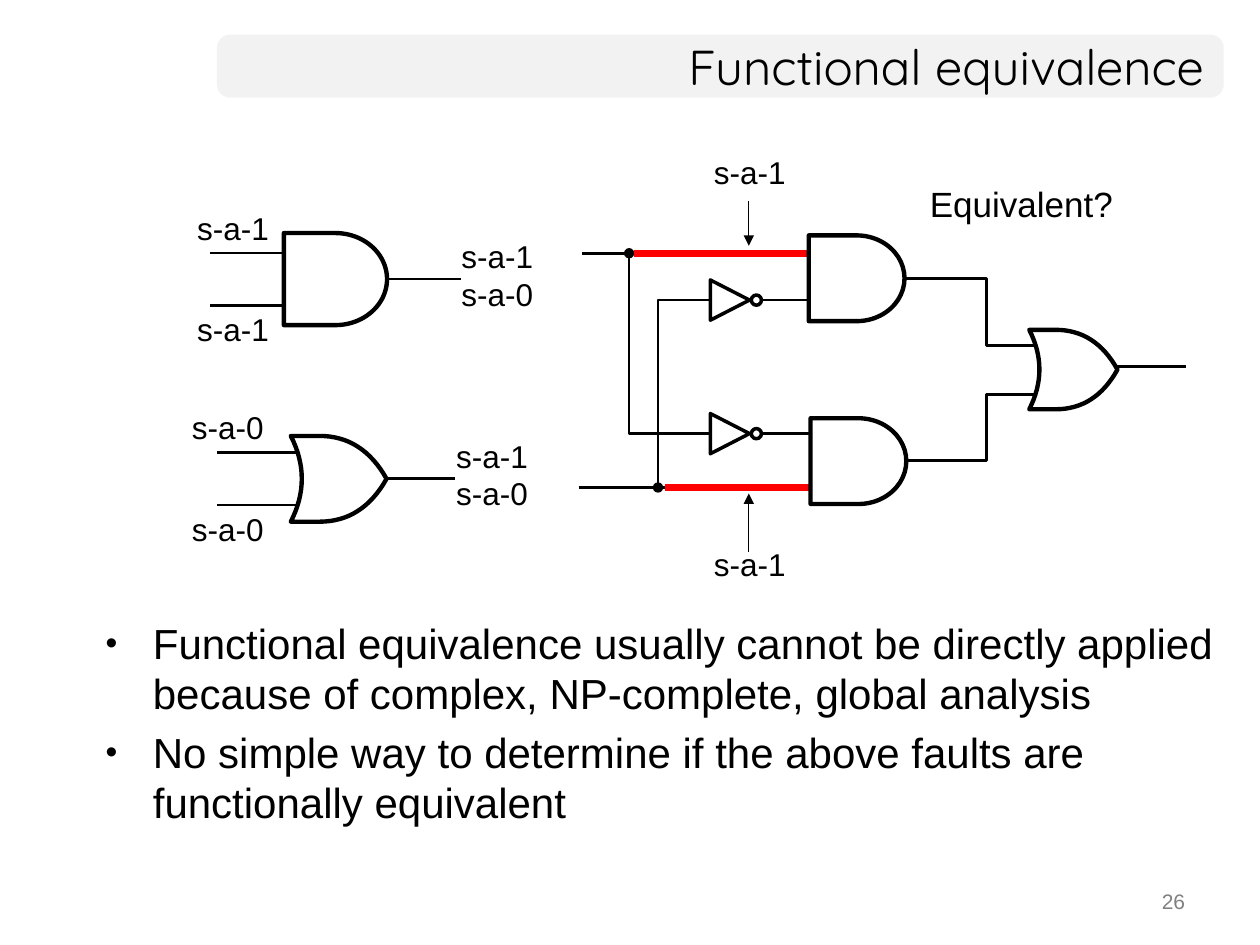
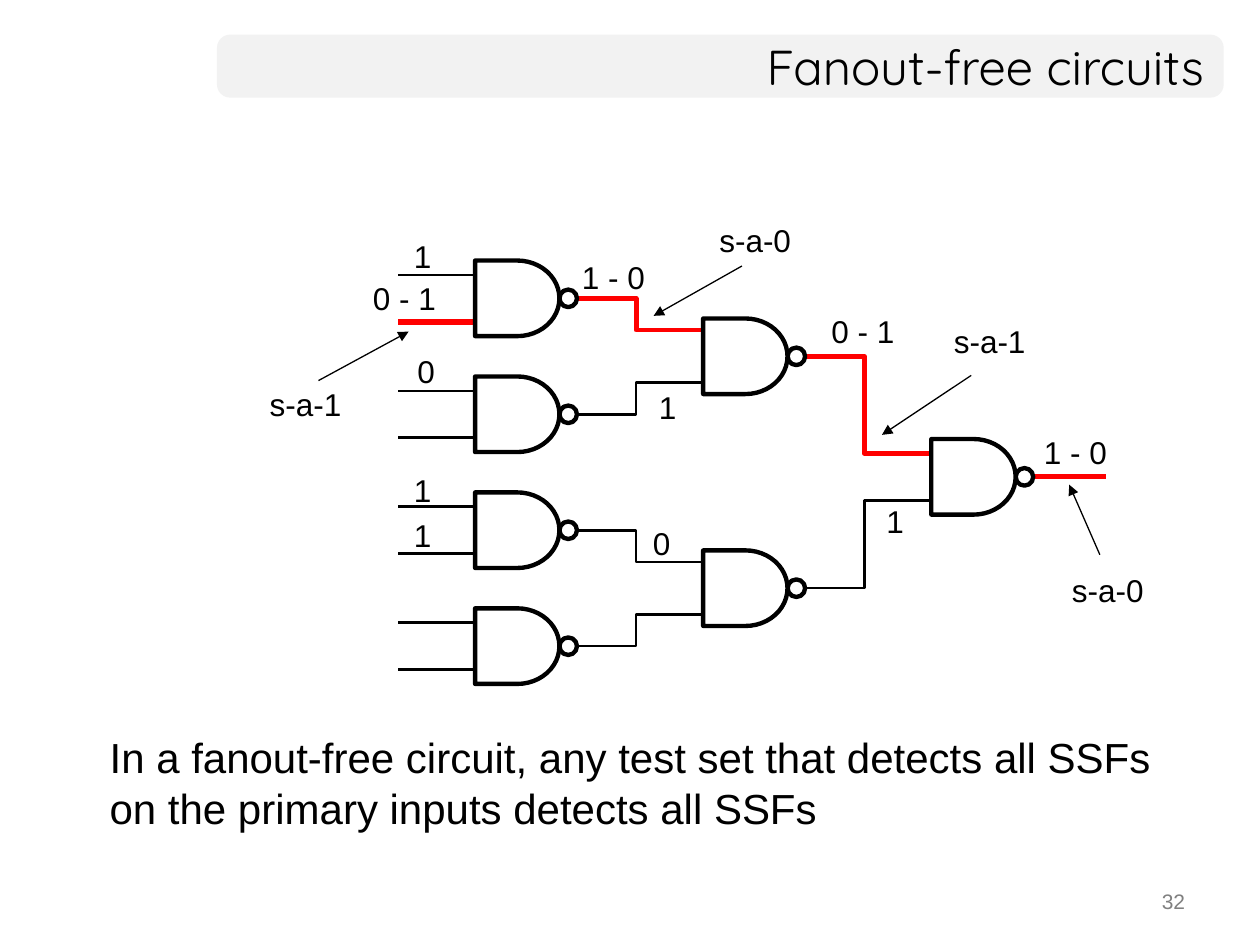
from lxml import etree
from pptx import Presentation
from pptx.dml.color import RGBColor
from pptx.enum.shapes import MSO_CONNECTOR, MSO_SHAPE
from pptx.enum.text import MSO_ANCHOR, MSO_AUTO_SIZE, PP_ALIGN
from pptx.oxml.ns import qn
from pptx.util import Pt

STRAIGHT = MSO_CONNECTOR.STRAIGHT
DELAY = MSO_SHAPE.FLOWCHART_DELAY
DOT = MSO_SHAPE.FLOWCHART_CONNECTOR
TRIANGLE = MSO_SHAPE.ISOSCELES_TRIANGLE
ROUNDED = MSO_SHAPE.ROUNDED_RECTANGLE
LEFT, CENTER, RIGHT = PP_ALIGN.LEFT, PP_ALIGN.CENTER, PP_ALIGN.RIGHT
TOP, MIDDLE = MSO_ANCHOR.TOP, MSO_ANCHOR.MIDDLE
GROW = MSO_AUTO_SIZE.SHAPE_TO_FIT_TEXT

COLORS = {"ink": "000000", "paper": "FFFFFF", "band": "F2F2F2",
          "fault": "FF0000", "page": "808080"}
FONT, TITLE_FONT = "Arial", "Quicksand"
LABEL_H, FAULT_W = 29, 56


def rgb(name):
    return RGBColor.from_string(COLORS[name])


def add_text(s, box, lines, size, color="ink", font=FONT, align=LEFT,
             anchor=TOP, wrap=True, bullet=False):
    sp = s.shapes.add_textbox(*map(Pt, box))
    tf = sp.text_frame
    tf.word_wrap = wrap
    if not wrap:
        tf.auto_size = GROW
    tf.vertical_anchor = anchor
    for i, line in enumerate(lines):
        p = tf.paragraphs[0] if i == 0 else tf.add_paragraph()
        p.alignment = align
        if bullet:
            if i:
                p.space_before = Pt(4.8)
            pPr = p._p.get_or_add_pPr()
            pPr.set("marL", str(Pt(27)))
            pPr.set("indent", str(-Pt(27)))
            etree.SubElement(pPr, qn("a:buSzPct"), val="80000")
            etree.SubElement(pPr, qn("a:buFont"), typeface=FONT)
            etree.SubElement(pPr, qn("a:buChar"), char="•")
        r = p.add_run()
        r.text = line
        r.font.name = font
        r.font.size = Pt(size)
        r.font.color.rgb = rgb(color)


def add_fault_label(s, x, y, *lines):
    h = LABEL_H + 22 * (len(lines) - 1)
    add_text(s, (x, y, FAULT_W, h), lines, 18, align=CENTER,
             anchor=MIDDLE, wrap=False)


def set_line(sp, color, width, end=None):
    sp.line.color.rgb = rgb(color)
    sp.line.width = Pt(width)
    if end:
        ln = sp.element.spPr.find(qn("a:ln"))
        etree.SubElement(ln, qn("a:tailEnd"), type=end)


def add_line(s, x1, y1, x2, y2, color="ink", width=1.5, end=None):
    c = s.shapes.add_connector(STRAIGHT, Pt(x1), Pt(y1), Pt(x2), Pt(y2))
    set_line(c, color, width, end)
    etree.SubElement(c.element.spPr, qn("a:effectLst"))
    return c


def add_arrow(s, x1, y1, x2, y2):
    add_line(s, x1, y1, x2, y2, width=0.75, end="triangle")


def add_outline(s, points, closed):
    points = [(Pt(x), Pt(y)) for x, y in points]
    fb = s.shapes.build_freeform(*points[0])
    fb.add_line_segments(points[1:], close=closed)
    sp = fb.convert_to_shape()
    sp.shadow.inherit = False
    return sp


def add_wire(s, points, color="ink", width=1.5, end=None):
    sp = add_outline(s, points, False)
    sp.fill.background()
    set_line(sp, color, width, end)


def add_part(s, kind, box, width=2.5):
    sp = s.shapes.add_shape(kind, *map(Pt, box))
    sp.shadow.inherit = False
    sp.fill.solid()
    sp.fill.fore_color.rgb = rgb("paper")
    set_line(sp, "ink", width)
    return sp


def add_and(s, x, y, w, h):
    return add_part(s, DELAY, (x, y, w, h))


def curve(start, control, end, steps=16):
    ts = [i / steps for i in range(steps + 1)]
    return [tuple((1 - t) ** 2 * a + 2 * t * (1 - t) * b + t * t * c
                  for a, b, c in zip(start, control, end)) for t in ts]


def add_or(s, x, y, w, h):
    unit = (curve((0.3, 0), (0.75, 0), (1, 0.5))
            + curve((1, 0.5), (0.75, 1), (0.3, 1))[1:]
            + curve((0, 1), (0.23, 0.5), (0, 0)))
    sp = add_outline(s, [(x + u * w, y + v * h) for u, v in unit], True)
    sp.fill.solid()
    sp.fill.fore_color.rgb = rgb("paper")
    set_line(sp, "ink", 2.5)
    return sp


def add_inverter(s, x, mid):
    sp = add_part(s, TRIANGLE, (x, mid - 11.2, 23, 22.4), 2)
    sp.rotation = 90
    add_part(s, DOT, (x + 23.7, mid - 2.9, 5.8, 5.8), 2)


def add_nand(s, x, mid):
    add_part(s, DOT, (x + 48.2, mid - 5, 10, 10))
    add_and(s, x, mid - 21.6, 48.2, 43.2)


def new_slide(prs, title, number):
    s = prs.slides.add_slide(prs.slide_layouts[6])
    band = s.shapes.add_shape(ROUNDED, *map(Pt, (124, 19.8, 575.3, 36)))
    band.adjustments[0] = 0.21
    band.shadow.inherit = False
    band.fill.solid()
    band.fill.fore_color.rgb = rgb("band")
    band.line.fill.background()
    add_text(s, (124, 19.5, 571, 36), [title], 28, font=TITLE_FONT,
             align=RIGHT, anchor=MIDDLE)
    add_text(s, (516.3, 504, 168, 25), [number], 12, "page", align=RIGHT)
    return s


def fault_gate(s, x, y, draw_gate, gate_x, w, h, in_fault):
    mid = y + 44
    left = x + gate_x
    for dy in (-15, 15):
        add_line(s, left - 42, mid + dy, left + 12, mid + dy)
    gate = draw_gate(s, left, mid - h / 2, w, h)
    out = add_line(s, left + w, mid, x + 158, mid)
    if draw_gate is add_and:
        out.begin_connect(gate, 3)
    add_fault_label(s, x, y, in_fault)
    add_fault_label(s, x, mid + 14, in_fault)
    add_fault_label(s, x + 151, mid - 28, "s-a-1", "s-a-0")


def equivalence_circuit(s, x, y):
    upper, lower = y + 61.7, y + 195.6
    upper_inv, lower_inv = y + 88.5, y + 164.8
    for stem, start, end in ((29.3, lower_inv, upper),
                             (45.8, upper_inv, lower)):
        add_wire(s, [(x + 148, start), (x + stem, start), (x + stem, end)],
                 end="oval")
    for gate_mid, pin in ((76, 114.3), (180, 142.4)):
        add_wire(s, [(x + 154, y + gate_mid), (x + 233.5, y + gate_mid),
                     (x + 233.5, y + pin), (x + 262, y + pin)])
    add_line(s, x + 278, y + 126.5, x + 347.5, y + 126.5)
    for start, red, gate_x, gate_y, mid, inv in (
            (2.5, 32, 132, 51.5, upper, upper_inv),
            (0.5, 50, 133, 156, lower, lower_inv)):
        add_line(s, x + start, mid, x + 141, mid)
        add_line(s, x + red, mid, x + gate_x + 6, mid, "fault", 4)
        add_inverter(s, x + 75.4, inv)
        add_and(s, x + gate_x, y + gate_y, 54.7, 49)
    add_or(s, x + 258, y + 105.5, 50.4, 45.4)
    for label_y, start, end in ((0.5, 32, 57.5), (224.5, 232.5, 199)):
        add_fault_label(s, x + 70.3, y + label_y, "s-a-1")
        add_arrow(s, x + 97.7, y + start, x + 97.7, y + end)
    add_text(s, (x + 194, y + 17.8, 120, 31.7), ["Equivalent?"], 20,
             wrap=False)


def nand_tree(s, x, y):
    cols = [x + 124.5 + 130.35 * i for i in range(3)]
    first = [y + 47.5 + 66.25 * i for i in range(4)]
    second = [(a + b) / 2 for a, b in zip(first[::2], first[1::2])]
    levels = [first, second, [y + 149.5]]
    red_wires = {(0, 0), (1, 0)}

    for row, mid in enumerate(first):
        for side in (-1, 1):
            red = row == 0 and side == 1
            pin = mid + side * 13.4
            add_line(s, cols[0] - 44, pin, cols[0], pin,
                     *(("fault", 3.75) if red else ("ink", 1.5)))
    for level, pin_gap in ((0, 15), (1, 13.5)):
        elbow, target = cols[level] + 92, cols[level + 1]
        for row, mid in enumerate(levels[level]):
            pin = levels[level + 1][row // 2] + pin_gap * (row % 2 * 2 - 1)
            style = (("fault", 2.75) if (level, row) in red_wires
                     else ("ink", 1.5))
            add_wire(s, [(cols[level] + 53, mid), (elbow, mid),
                         (elbow, pin), (target, pin)], *style)
    out = levels[2][0]
    add_line(s, cols[2] + 53, out, cols[2] + 100, out, "fault", 2.75)
    for left, mids in zip(cols, levels):
        for mid in mids:
            add_nand(s, left, mid)

    labels = {
        25: [("1", 222.5, 95), ("1", 352.5, 160.5), ("0", 84.5, 74.5),
             ("0", 219, 173), ("1", 82.5, 142.5), ("1", 82.5, 168.5),
             ("1", 82.5, 9)],
        52: [("1 - 0", 442.5, 121), ("1 - 0", 178.5, 21),
             ("0 - 1", 59, 33), ("0 - 1", 321, 52)],
        FAULT_W: [("s-a-1", 0, 93.5), ("s-a-0", 257, 0),
                  ("s-a-1", 391, 57.5), ("s-a-0", 458.5, 199.5)],
    }
    for w, group in labels.items():
        for text, dx, dy in group:
            add_text(s, (x + dx, y + dy, w, LABEL_H), [text], 18, wrap=False)
    for x1, y1, x2, y2 in ((35, 94.5, 86.5, 66.5), (277, 29, 226.5, 57.5),
                           (408, 91.5, 357, 125.5), (481.5, 194, 464, 154)):
        add_arrow(s, x + x1, y + y1, x + x2, y + y2)


def main():
    prs = Presentation()
    prs.slide_width, prs.slide_height = Pt(720), Pt(540)

    s = new_slide(prs, "Functional equivalence", "26")
    fault_gate(s, 105.2, 115.5, add_and, 57, 59, 52.6, "s-a-1")
    fault_gate(s, 102.2, 229.6, add_or, 64, 54.7, 49, "s-a-0")
    equivalence_circuit(s, 330.2, 83)
    add_text(s, (53.3, 349.2, 648, 130), [
        "Functional equivalence usually cannot be directly applied "
        "because of complex, NP-complete, global analysis",
        "No simple way to determine if the above faults are "
        "functionally equivalent"], 24, bullet=True)

    s = new_slide(prs, "Fanout-free circuits", "32")
    nand_tree(s, 147, 123)
    add_text(s, (55.6, 414.7, 628.6, 75), [
        "In a fanout-free circuit, any test set that detects all SSFs "
        "on the primary inputs detects all SSFs"], 24)

    prs.save("out.pptx")


if __name__ == "__main__":
    main()
